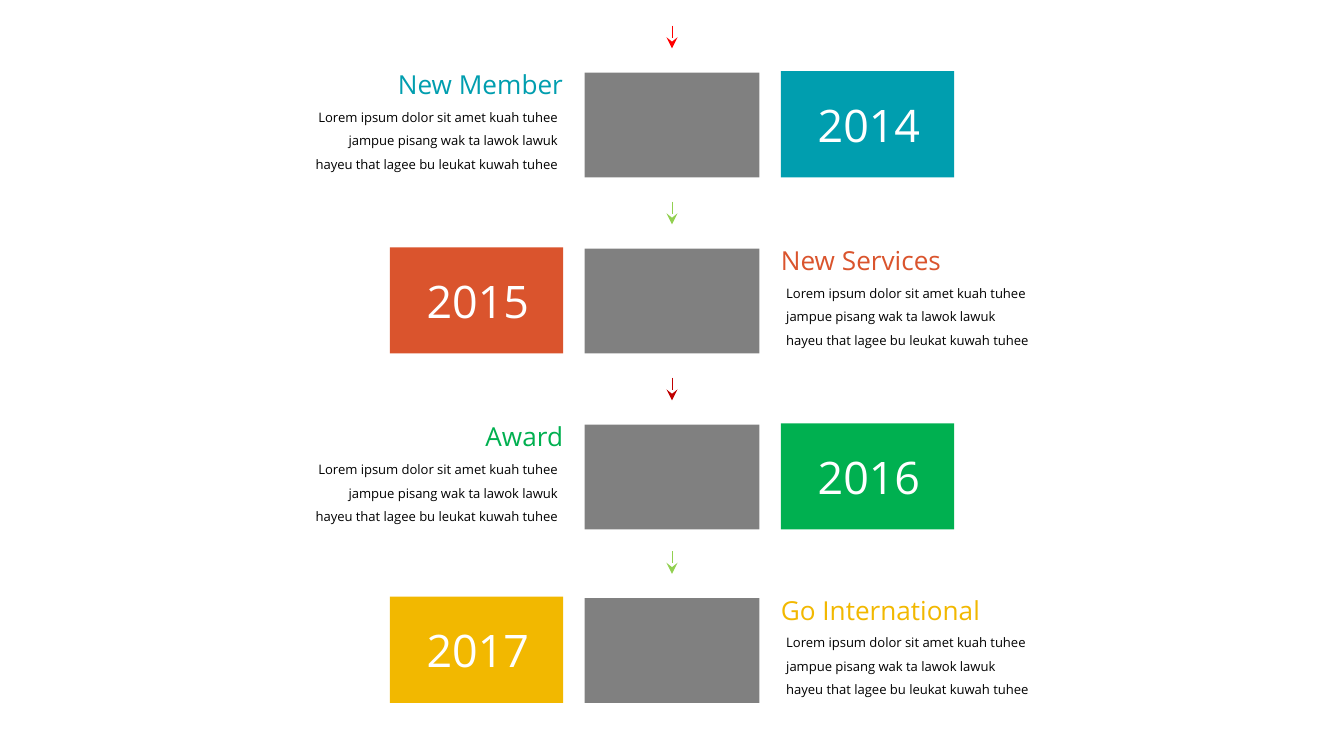
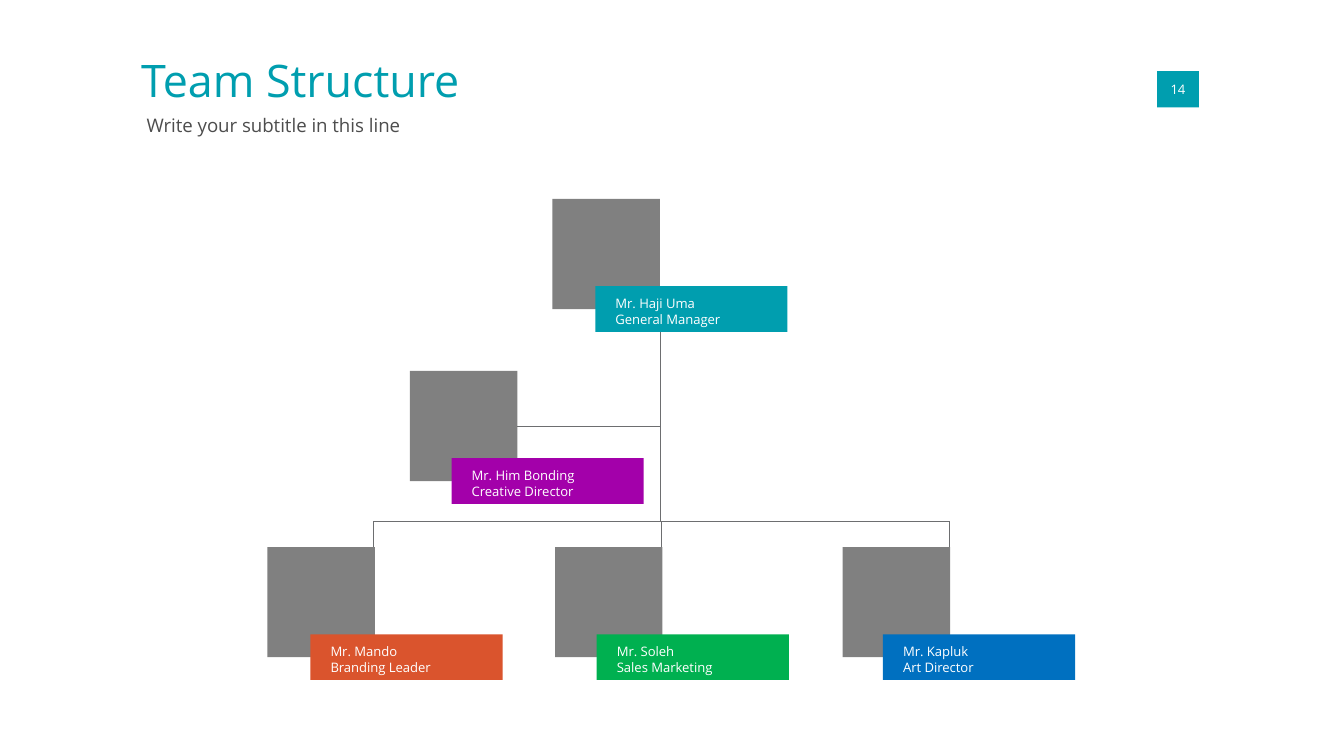
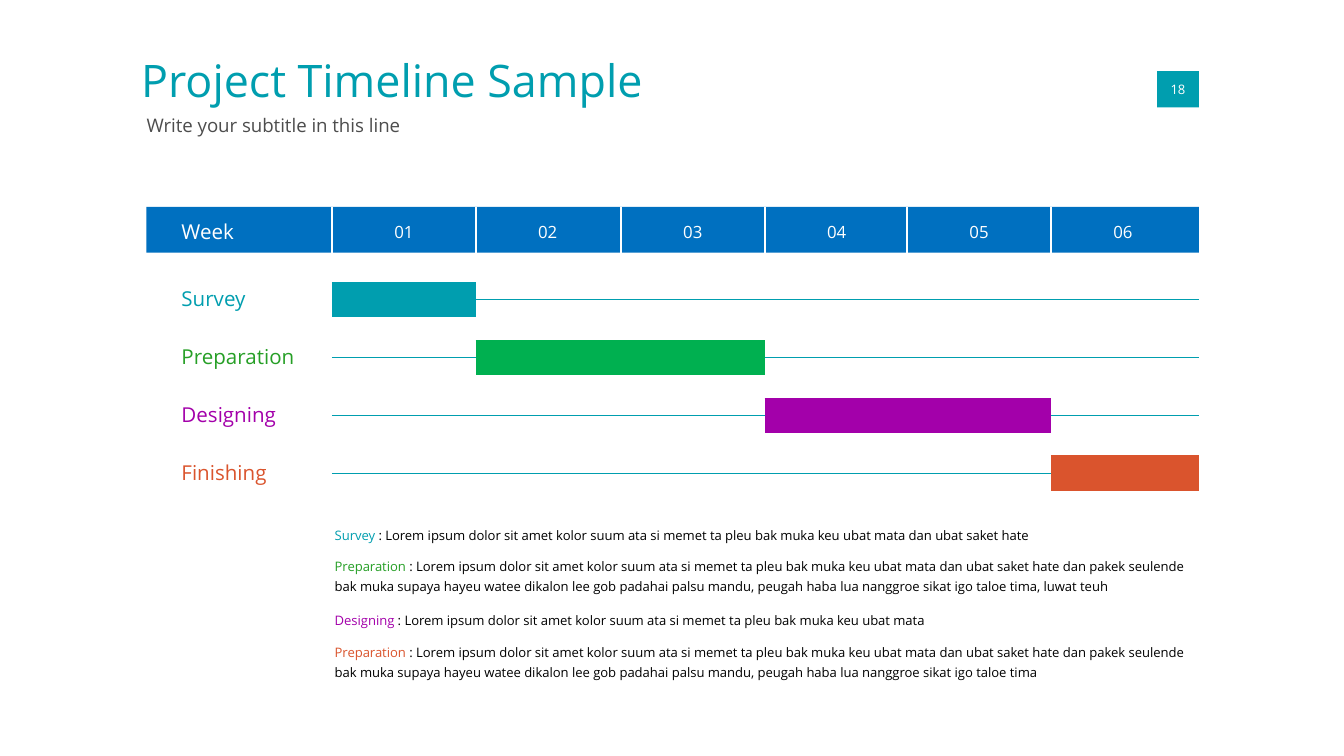
from dataclasses import dataclass

from lxml import etree
from pptx import Presentation
from pptx.dml.color import RGBColor
from pptx.enum.shapes import MSO_CONNECTOR, MSO_SHAPE
from pptx.enum.text import MSO_ANCHOR, MSO_AUTO_SIZE, PP_ALIGN
from pptx.oxml.ns import qn
from pptx.util import Inches, Pt

LEFT, CENTER, RIGHT = PP_ALIGN.LEFT, PP_ALIGN.CENTER, PP_ALIGN.RIGHT
TOP, MIDDLE, BOTTOM = MSO_ANCHOR.TOP, MSO_ANCHOR.MIDDLE, MSO_ANCHOR.BOTTOM
NO_AUTOFIT = MSO_AUTO_SIZE.NONE
RECTANGLE = MSO_SHAPE.RECTANGLE
STRAIGHT = MSO_CONNECTOR.STRAIGHT
TITLE_SLIDE_LAYOUT, BLANK_LAYOUT = 0, 6
RIGHT_SIDE = 3


@dataclass(frozen=True)
class Theme:
    font: str = "Open Sans"
    teal: str = "009EAF"
    orange: str = "DA542D"
    green: str = "00B050"
    leaf: str = "269F26"
    yellow: str = "F2B800"
    purple: str = "A300AA"
    blue: str = "0070C0"
    red: str = "FF0000"
    dark_red: str = "C00000"
    lime: str = "92D050"
    photo: str = "808080"
    branch: str = "6D6E70"
    subtitle: str = "4D4D4D"
    black: str = "000000"
    white: str = "FFFFFF"
    title_size: float = 24
    heading_size: float = 14
    label_size: float = 11
    subtitle_size: float = 10
    week_size: float = 9
    body_size: float = 7
    hairline: float = 0.25
    separator: float = 1
    bar: float = 19


THEME = Theme()
PAGE_WIDTH = 10
PAGE_HEIGHT = PAGE_WIDTH * 9 / 16
PAD = (0.04,) * 4

LOREM = ("Lorem ipsum dolor sit amet kuah tuhee jampue pisang wak ta lawok lawuk "
         "hayeu that lagee bu leukat kuwah tuhee")
MILESTONES = [
    (0.53, "2014", "New Member", THEME.teal, THEME.red),
    (1.84, "2015", "New Services", THEME.orange, THEME.lime),
    (3.15, "2016", "Award", THEME.green, THEME.dark_red),
    (4.44, "2017", "Go International", THEME.yellow, THEME.lime),
]

LEADERS = [
    ("Mr. Mando\nBranding Leader", THEME.orange),
    ("Mr. Soleh\nSales Marketing", THEME.green),
    ("Mr. Kapluk\nArt Director", THEME.blue),
]

# where each week starts, then where the last one ends
WEEK_EDGES = [2.47, 3.54, 4.62, 5.69, 6.75, 7.82, 8.92]

# label, colour of the label, colour of the bar, first week, last week
TASKS = [
    ("Survey", THEME.teal, THEME.teal, 1, 1),
    ("Preparation", THEME.leaf, THEME.green, 2, 3),
    ("Designing", THEME.purple, THEME.purple, 4, 5),
    ("Finishing", THEME.orange, THEME.orange, 6, 6),
]

SHORT_NOTE = (": Lorem ipsum dolor sit amet kolor suum ata si memet ta pleu "
              "bak muka keu ubat mata")
SURVEY_NOTE = SHORT_NOTE + " dan ubat saket hate"
LONG_NOTE = (SURVEY_NOTE + " dan pakek seulende bak muka supaya hayeu watee dikalon "
             "lee gob padahai palsu mandu, peugah haba lua nanggroe sikat igo taloe tima")
NOTES = [
    (3.87, 0.16, "Survey ", THEME.teal, SURVEY_NOTE),
    (4.1, 0.32, "Preparation ", THEME.leaf, LONG_NOTE + ", luwat teuh"),
    (4.5, 0.16, "Designing ", THEME.purple, SHORT_NOTE),
    (4.74, 0.32, "Preparation ", THEME.orange, LONG_NOTE),
]


def rgb(color):
    return RGBColor.from_string(color)


def place(box, left, top, width, height):
    box.left, box.top = Inches(left), Inches(top)
    box.width, box.height = Inches(width), Inches(height)


def add_span(para, text, size, color):
    span = para.add_run()
    span.text = text
    span.font.name = THEME.font
    span.font.size = Pt(size)
    span.font.color.rgb = rgb(color)


def write(box, text, size=THEME.body_size, color=THEME.black, align=LEFT, anchor=TOP,
          insets=(0, 0, 0, 0), spacing=1.0, lead="", lead_color=THEME.black):
    """Fill a box, one paragraph per line; lead is a coloured opening of the first."""
    frame = box.text_frame
    frame.word_wrap = True
    frame.auto_size = NO_AUTOFIT
    frame.vertical_anchor = anchor
    (frame.margin_left, frame.margin_top,
     frame.margin_right, frame.margin_bottom) = map(Inches, insets)
    for index, line in enumerate(text.split("\n")):
        para = frame.add_paragraph() if index else frame.paragraphs[0]
        para.alignment = align
        para.line_spacing = spacing
        para.space_before = Pt(0)
        if lead and index == 0:
            add_span(para, lead, size, lead_color)
        add_span(para, line, size, color)


def add_text(page, left, top, width, height, text, **style):
    box = page.shapes.add_textbox(*map(Inches, (left, top, width, height)))
    write(box, text, **style)


def add_block(page, left, top, width, height, fill, text="", **style):
    block = page.shapes.add_shape(RECTANGLE, *map(Inches, (left, top, width, height)))
    block.shadow.inherit = False
    block.fill.solid()
    block.fill.fore_color.rgb = rgb(fill)
    block.line.fill.background()
    if text:
        write(block, text, color=THEME.white, **style)
    return block


def add_line(page, x1, y1, x2, y2, color, weight=THEME.hairline, arrow=False):
    line = page.shapes.add_connector(STRAIGHT, *map(Inches, (x1, y1, x2, y2)))
    line.line.color.rgb = rgb(color)
    line.line.width = Pt(weight)
    properties = line.element.spPr
    if arrow:
        etree.SubElement(properties.find(qn("a:ln")), qn("a:tailEnd"), type="stealth")
    etree.SubElement(properties, qn("a:effectLst"))
    return line


def add_titled_page(deck, title, number):
    page = deck.slides.add_slide(deck.slide_layouts[TITLE_SLIDE_LAYOUT])
    heading, subtitle = page.placeholders
    place(heading, 1.05, 0.39, 4.76, 0.49)
    write(heading, title, size=THEME.title_size, color=THEME.teal)
    place(subtitle, 1.09, 0.85, 6.91, 0.23)
    write(subtitle, "Write your subtitle in this line",
          size=THEME.subtitle_size, color=THEME.subtitle)
    add_block(page, 8.61, 0.53, 0.31, 0.27, THEME.teal, number,
              align=CENTER, anchor=MIDDLE)
    return page


def add_milestone(page, top, year, heading, color, arrow_color, year_on_right):
    year_left = 5.81 if year_on_right else 2.9
    text_left = 2.27 if year_on_right else 5.81
    align = RIGHT if year_on_right else LEFT
    add_line(page, 5, top - 0.34, 5, top - 0.17, arrow_color, arrow=True)
    add_block(page, 4.35, top + 0.01, 1.3, 0.78, THEME.photo)
    add_block(page, year_left, top, 1.29, 0.79, color, year,
              size=THEME.title_size, align=CENTER, anchor=MIDDLE, insets=(0.02, 0, 0, 0))
    add_text(page, text_left, top - 0.02, 1.92, 0.32, heading,
             size=THEME.heading_size, color=color, align=align)
    add_text(page, text_left, top + 0.29, 1.92, 0.5, LOREM,
             align=align, anchor=BOTTOM, insets=PAD, spacing=1.5)


def add_member(page, left, top, card_left, text, color):
    """Draw a photo block with a name card over its lower right corner."""
    photo = add_block(page, left, top, 0.8, 0.82, THEME.photo)
    add_block(page, card_left, top + 0.65, 1.43, 0.34, color, text,
              insets=(0.15, 0.07, 0.04, 0))
    return photo


def build_milestones(deck):
    page = deck.slides.add_slide(deck.slide_layouts[BLANK_LAYOUT])
    for row, milestone in enumerate(MILESTONES):
        add_milestone(page, *milestone, year_on_right=row % 2 == 0)


def build_team(deck):
    page = add_titled_page(deck, "Team Structure", "14")
    trunk, bus, leader_top = 4.91, 3.88, 4.07
    add_member(page, 4.11, 1.48, 4.43, "Mr. Haji Uma\nGeneral Manager", THEME.teal)
    director = add_member(page, 3.05, 2.76, 3.36, "Mr. Him Bonding\nCreative Director",
                          THEME.purple)
    add_line(page, trunk, 2.47, trunk, bus, THEME.branch)
    branch = add_line(page, 3.85, 3.17, trunk, 3.17, THEME.branch)
    branch.begin_connect(director, RIGHT_SIDE)
    drops = []
    for column, (text, color) in enumerate(LEADERS):
        left = 1.99 + 2.14 * column
        add_member(page, left, leader_top, 2.31 + 2.13 * column, text, color)
        drops.append(left + 0.79)
    add_line(page, drops[0], bus, drops[-1], bus, THEME.branch)
    for drop in drops:
        add_line(page, drop, leader_top, drop, bus, THEME.branch)


def build_schedule(deck):
    page = add_titled_page(deck, "Project Timeline Sample", "18")
    start, end = WEEK_EDGES[0], WEEK_EDGES[-1]

    add_block(page, 1.09, 1.54, 7.83, 0.34, THEME.blue)
    add_text(page, 1.31, 1.59, 0.76, 0.22, "Week",
             size=THEME.label_size, color=THEME.white, insets=PAD)
    for week, left in enumerate(WEEK_EDGES[:-1], 1):
        add_text(page, left, 1.61, 1.07, 0.2, f"{week:02}",
                 size=THEME.week_size, color=THEME.white, align=CENTER, insets=PAD)
        add_line(page, left, 1.54, left, 1.89, THEME.white, THEME.separator)

    for row, (label, label_color, bar_color, first, last) in enumerate(TASKS):
        y = 2.23 + 0.43 * row
        add_text(page, 1.31, y - 0.14, 1.15, 0.22, label,
                 size=THEME.label_size, color=label_color, insets=PAD)
        add_line(page, start, y, end, y, THEME.teal)
        add_line(page, WEEK_EDGES[first - 1], y, WEEK_EDGES[last], y,
                 bar_color, THEME.bar)

    for top, height, lead, color, text in NOTES:
        add_text(page, start, top, 6.45, height, text, lead=lead, lead_color=color,
                 insets=(0.02,) * 4, spacing=1.3)


def main():
    deck = Presentation()
    deck.slide_width, deck.slide_height = Inches(PAGE_WIDTH), Inches(PAGE_HEIGHT)
    build_milestones(deck)
    build_team(deck)
    build_schedule(deck)
    deck.save("out.pptx")


if __name__ == "__main__":
    main()
